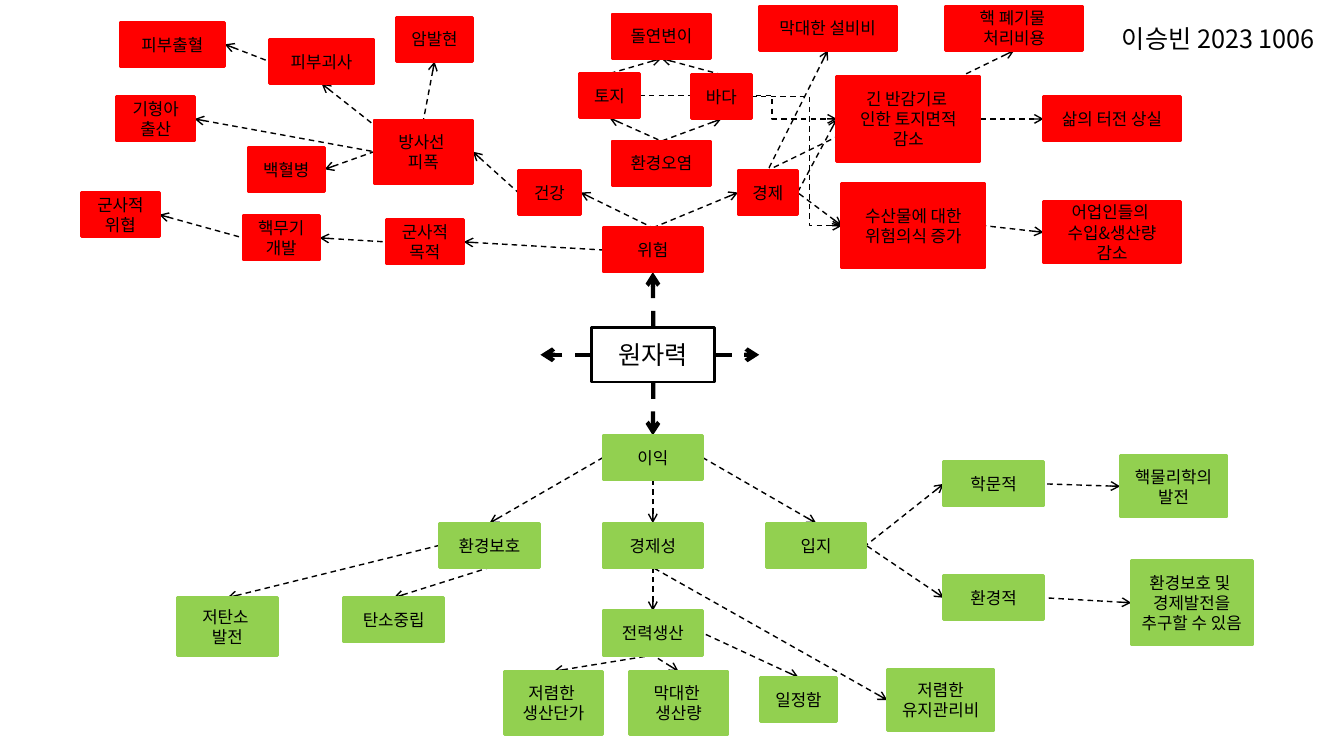
from lxml.etree import SubElement
from pptx import Presentation
from pptx.dml.color import RGBColor
from pptx.enum.dml import MSO_LINE
from pptx.enum.shapes import MSO_CONNECTOR as CONN, MSO_SHAPE
from pptx.enum.text import MSO_ANCHOR, PP_ALIGN
from pptx.oxml.ns import qn
from pptx.util import Inches, Pt

COLORS = {"danger": "FF0000", "benefit": "92D050", "ink": "000000"}
FONT = "Noto Sans CJK KR"
SIDES = {"t": 0, "l": 1, "b": 2, "r": 3}

DANGER_NODES = {
    "danger": (5.98, 2.26, 0.99, 0.44, "위험"),
    "health": (5.14, 1.69, 0.62, 0.44, "건강"),
    "exposure": (3.71, 1.19, 0.98, 0.63, "방사선 \n피폭"),
    "necrosis": (2.67, 0.39, 1.04, 0.44, "피부괴사"),
    "bleeding": (1.19, 0.22, 1.04, 0.44, "피부출혈"),
    "cancer": (3.93, 0.17, 0.76, 0.44, "암발현"),
    "leukemia": (2.46, 1.46, 0.76, 0.44, "백혈병"),
    "birth": (1.16, 0.96, 0.77, 0.44, "기형아 출산"),
    "military": (3.83, 2.18, 0.77, 0.44, "군사적 목적"),
    "weapons": (2.41, 2.14, 0.76, 0.44, "핵무기 개발"),
    "threat": (0.81, 1.91, 0.77, 0.44, "군사적 위협"),
    "pollution": (6.07, 1.4, 0.98, 0.44, "환경오염"),
    "land": (5.75, 0.73, 0.59, 0.44, "토지"),
    "sea": (6.86, 0.74, 0.59, 0.44, "바다"),
    "mutation": (6.07, 0.14, 0.98, 0.44, "돌연변이"),
    "economy": (7.32, 1.69, 0.59, 0.44, "경제"),
    "facility": (7.53, 0.06, 1.36, 0.44, "막대한 설비비"),
    "waste": (9.38, 0.06, 1.36, 0.44, "핵 폐기물 \n처리비용"),
    "land_loss": (8.3, 0.76, 1.42, 0.84, "긴 반감기로 \n인한 토지면적\n감소"),
    "home_loss": (10.35, 0.96, 1.36, 0.44, "삶의 터전 상실"),
    "seafood": (8.35, 1.82, 1.42, 0.84, "수산물에 대한 위험의식 증가"),
    "fishers": (10.35, 2, 1.36, 0.61, "어업인들의 \n수입&생산량 감소"),
}
DANGER_LINKS = [
    ("health.r", "danger.t"), ("economy.l", "danger.t"), ("military.r", "danger.l"),
    ("exposure.r", "health.l"), ("cancer.b", "exposure.t"), ("leukemia.r", "exposure.l"),
    ("birth.r", "exposure.l"), ("necrosis.b", (3.71, 1.24)), ("bleeding.r", "necrosis.l"),
    ("weapons.r", "military.l"), ("threat.r", "weapons.l"),
    ("land.b", "pollution.t"), ("sea.b", "pollution.t"),
    ("mutation.b", "land.t"), ("mutation.b", "sea.t"),
    ("facility.b", "economy.t"), ("waste.b", "economy.t"),
    ("land_loss.l", "economy.r"), ("seafood.l", "economy.r"),
    ("home_loss.l", "land_loss.r"), ("fishers.l", "seafood.r"),
]
DANGER_BENDS = [("land.r", "land_loss.l", 67300), ("sea.r", "seafood.l", 64300)]

BENEFIT_NODES = {
    "benefit": (5.98, 0, 0.99, 0.44, "이익"),
    "protection": (4.36, 0.87, 0.99, 0.44, "환경보호"),
    "thrift": (5.98, 0.87, 0.99, 0.44, "경제성"),
    "standing": (7.6, 0.87, 0.99, 0.44, "입지"),
    "low_carbon": (1.76, 1.61, 0.99, 0.57, "저탄소 \n발전"),
    "neutral": (3.41, 1.61, 0.99, 0.44, "탄소중립"),
    "power": (5.98, 1.74, 0.99, 0.44, "전력생산"),
    "unit_cost": (5, 2.34, 0.98, 0.63, "저렴한 \n생산단가"),
    "output": (6.24, 2.34, 0.98, 0.63, "막대한 \n생산량"),
    "steady": (7.54, 2.4, 0.76, 0.44, "일정함"),
    "upkeep": (8.8, 2.32, 1.06, 0.61, "저렴한\n유지관리비"),
    "academic": (9.36, 0.26, 0.99, 0.44, "학문적"),
    "physics": (11.11, 0.2, 1.06, 0.61, "핵물리학의 발전"),
    "ecology": (9.36, 1.39, 0.99, 0.44, "환경적"),
    "growth": (11.22, 1.24, 1.2, 0.84, "환경보호 및 \n경제발전을 추구할 수 있음"),
}
BENEFIT_LINKS = [
    ("protection.t", "benefit.l"), ("thrift.t", "benefit.b"), ("standing.t", "benefit.r"),
    ("low_carbon.t", "protection.l"), ("neutral.t", "protection.b"),
    ("power.t", "thrift.b"), ("upkeep.l", "thrift.b"),
    ("unit_cost.t", "power.b"), ("output.t", "power.b"), ("steady.t", "power.r"),
    ("academic.l", "standing.r"), ("ecology.l", "standing.r"),
    ("physics.l", "academic.r"), ("growth.l", "ecology.r"),
]


def rgb(name):
    return RGBColor.from_string(COLORS[name])


def set_text(sp, text, size, align):
    tf = sp.text_frame
    tf.text = text
    for p in tf.paragraphs:
        p.alignment = align
        p.font.size = Pt(size)
        p.font.name = FONT
        p.font.color.rgb = rgb("ink")
    for props in sp.element.iter(qn("a:defRPr")):
        SubElement(props, qn("a:ea"), typeface=FONT)


def add_node(s, left, top, width, height, text, line, fill=None, size=12):
    sp = s.shapes.add_shape(MSO_SHAPE.RECTANGLE, Inches(left), Inches(top),
                            Inches(width), Inches(height))
    sp.shadow.inherit = False
    if fill:
        sp.fill.solid()
        sp.fill.fore_color.rgb = rgb(fill)
    else:
        sp.fill.background()
    sp.line.color.rgb = rgb(line)
    sp.line.width = Pt(2)
    sp.text_frame.vertical_anchor = MSO_ANCHOR.MIDDLE
    set_text(sp, text, size, PP_ALIGN.CENTER)
    return sp


def add_link(s, start, end, arrow, width=1, bend=None):
    x, y = (0, 0) if isinstance(end[0], str) or not isinstance(end[0], (int, float)) else end
    kind = CONN.ELBOW if bend else CONN.STRAIGHT
    cx = s.shapes.add_connector(kind, 0, 0, Inches(x), Inches(y))
    cx.begin_connect(start[0], SIDES[start[1]])
    if not (x or y):
        cx.end_connect(end[0], SIDES[end[1]])
    cx.line.color.rgb = rgb("ink")
    cx.line.width = Pt(width)
    cx.line.dash_style = MSO_LINE.DASH
    props = cx.element.spPr
    SubElement(props.find(qn("a:ln")), qn(f"a:{arrow}"), type="arrow")
    SubElement(props, qn("a:effectLst"))
    if bend:
        guides = props.find(qn("a:prstGeom")).find(qn("a:avLst"))
        SubElement(guides, qn("a:gd"), name="adj1", fmla=f"val {bend}")
    s.shapes.element.insert(2, cx.element)


def add_branch(s, left, top, color, nodes, links, bends=()):
    shapes = {name: add_node(s, left + x, top + y, w, h, text, color, color)
              for name, (x, y, w, h, text) in nodes.items()}

    def site(ref):
        if isinstance(ref, tuple):
            return left + ref[0], top + ref[1]
        name, side = ref.split(".")
        return shapes[name], side

    for child, parent in links:
        add_link(s, site(child), site(parent), "headEnd")
    for start, end, bend in bends:
        add_link(s, site(start), site(end), "tailEnd", bend=bend)
    return shapes


def add_core(s, left, top, width, height, danger, benefit):
    core = add_node(s, left + 0.51, top, 1.22, height, "원자력", "ink", size=18)
    middle = top + height / 2
    targets = {"t": (danger, "b"), "b": (benefit, "t"),
               "l": (left, middle), "r": (left + width, middle)}
    for side, target in targets.items():
        add_link(s, (core, side), target, "tailEnd", width=3)


def add_author(s, left, top, width, height):
    sp = s.shapes.add_textbox(Inches(left), Inches(top), Inches(width), Inches(height))
    sp.text_frame.word_wrap = False
    set_text(sp, "이승빈 2023 1006", 18, PP_ALIGN.LEFT)


prs = Presentation()
prs.slide_width, prs.slide_height = Inches(13.33), Inches(7.5)
s = prs.slides.add_slide(prs.slide_layouts[6])
danger = add_branch(s, 0, 0, "danger", DANGER_NODES, DANGER_LINKS, DANGER_BENDS)
benefit = add_branch(s, 0, 4.32, "benefit", BENEFIT_NODES, BENEFIT_LINKS)
add_core(s, 5.36, 3.25, 2.17, 0.54, danger["danger"], benefit["benefit"])
add_author(s, 11.03, 0.18, 2.34, 0.4)
prs.save("out.pptx")
